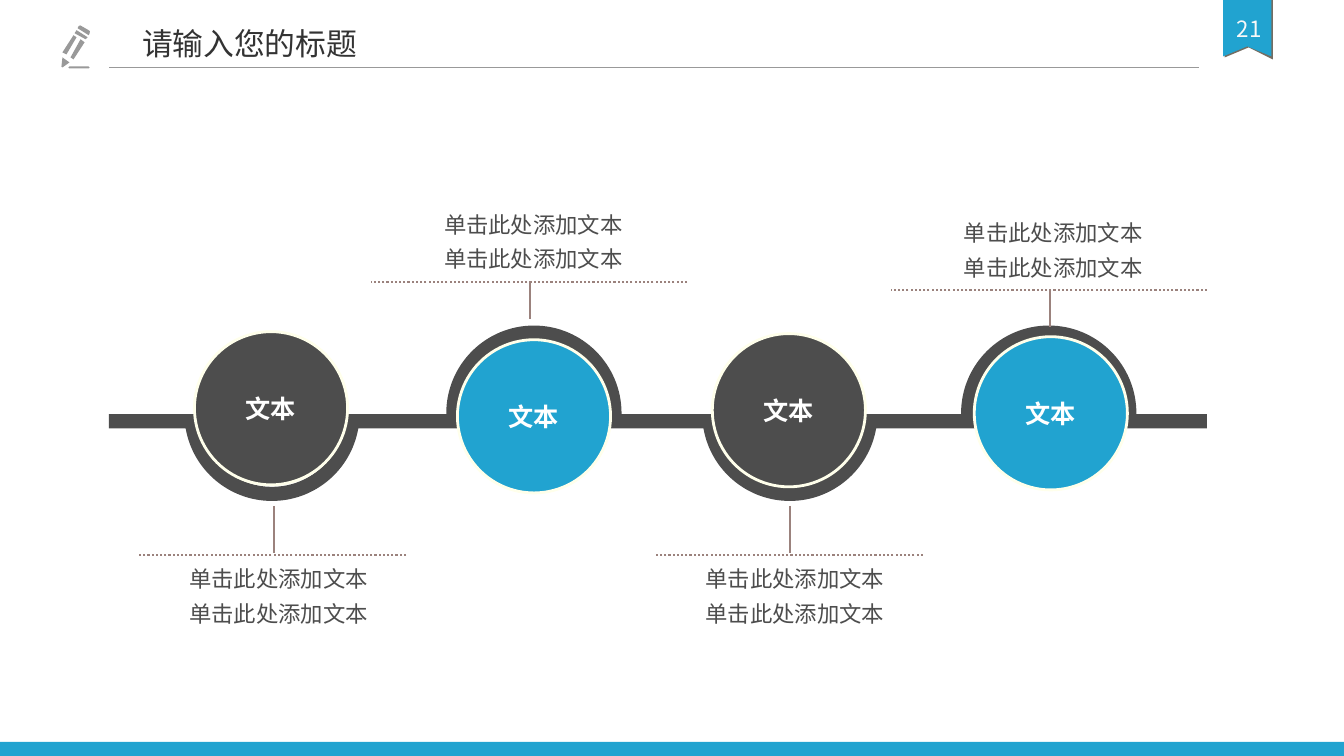
import math

import pptx
import pptx.dml.color
import pptx.enum.dml
import pptx.enum.shapes
import pptx.enum.text
import pptx.oxml
import pptx.oxml.ns
import pptx.util

COLUMNS, ROWS = 1334, 750
CELL = pptx.util.Inches(0.01)
FONT = "Noto Sans CJK SC"
BLUE, DARK, GRAY, BROWN = "21A3D0", "4D4D4D", "999999", "9B827D"
SHAPES = pptx.enum.shapes.MSO_SHAPE
ALIGN = pptx.enum.text.PP_ALIGN
ANCHOR = pptx.enum.text.MSO_ANCHOR
FIT = pptx.enum.text.MSO_AUTO_SIZE

PENCIL = [
    [(8, 41), (27, 41), (28, 41, 28, 41, 28, 42), (28, 42, 28, 43, 27, 43),
     (8, 43), (8, 43, 7, 42, 7, 42), (7, 41, 8, 41, 8, 41)],
    [(9, 32), (19, 14), (23, 17), (12, 34), (9, 32)],
    [(1, 27), (12, 10), (15, 12), (5, 29), (1, 27)],
    [(0, 41), (1, 32), (8, 37), (1, 42), (0, 42, 0, 42, 0, 41)],
    [(15, 5), (13, 8), (24, 14), (26, 12), (15, 5)],
    [(17, 1), (18, 0, 19, 0, 20, 1), (27, 5), (28, 5, 29, 7, 28, 8),
     (27, 10), (16, 3), (17, 1)],
]
STEPS = [
    {"ring": 270, "side": 1, "disc": (193, 329), "fill": DARK, "callout": (138, 551, 265)},
    {"ring": 530, "side": -1, "disc": (454, 337), "fill": BLUE, "callout": (368, 280, 314)},
    {"ring": 784, "side": 1, "disc": (707, 331), "fill": DARK, "callout": (650, 551, 266)},
    {"ring": 1041, "side": -1, "disc": (967, 334), "fill": BLUE, "callout": (884, 288, 314)},
]


def grid(*cells):
    return [round(cell * CELL) for cell in cells]


def color(value):
    return pptx.dml.color.RGBColor.from_string(value)


def apply(target, values):
    for name, value in values.items():
        setattr(target, name, value)


def paint(shape, fill):
    shape.shadow.inherit = False
    shape.fill.solid()
    shape.fill.fore_color.rgb = color(fill)
    shape.line.fill.background()


def write(shape, lines, size, ink, frame_format, para_format, bold=False):
    frame = shape.text_frame
    apply(frame, frame_format)
    for index, line in enumerate(lines):
        para = frame.add_paragraph() if index else frame.paragraphs[0]
        apply(para, para_format)
        span = para.add_run()
        span.text = line
        apply(span.font, {"size": pptx.util.Pt(size), "name": FONT, "bold": bold})
        span.font.color.rgb = color(ink)
        east = pptx.oxml.parse_xml(
            f'<a:ea {pptx.oxml.ns.nsdecls("a")} typeface="{FONT}"/>')
        span.font._element.append(east)


def bend(shape, segments):
    lines = iter(list(shape._element.iter(pptx.oxml.ns.qn("a:lnTo"))))
    for segment in segments:
        line = next(lines)
        if len(segment) == 6:
            curve = pptx.oxml.parse_xml(
                f'<a:cubicBezTo {pptx.oxml.ns.nsdecls("a")}/>')
            line.addprevious(curve)
            for part in (line, next(lines), next(lines)):
                curve.append(part[0])
                part.getparent().remove(part)


def outline(page, box, contours, fill):
    left, top = box
    builder = None
    for contour in contours:
        points = [tuple(grid(left + segment[i], top + segment[i + 1]))
                  for segment in contour for i in range(0, len(segment), 2)]
        if builder:
            builder.move_to(*points[0])
        else:
            builder = page.shapes.build_freeform(*points[0], scale=1.0)
        builder.add_line_segments(points[1:], close=True)
    shape = builder.convert_to_shape()
    bend(shape, [segment for contour in contours for segment in contour[1:]])
    paint(shape, fill)


def connect(page, start, end, ink, width, dash=None):
    line = page.shapes.add_connector(
        pptx.enum.shapes.MSO_CONNECTOR.STRAIGHT, *grid(*start, *end))
    line.line.color.rgb = color(ink)
    line.line.width = pptx.util.Pt(width)
    if dash:
        line.line.dash_style = dash
    line._element.spPr.append(
        pptx.oxml.parse_xml(f'<a:effectLst {pptx.oxml.ns.nsdecls("a")}/>'))


def draw_ribbon(page, box):
    left, top, width, height = box
    for shift, drop, fill in ((1.5, 1, "746D62"), (0, 0, BLUE)):
        points = [(width, height + 3 * drop), (width / 2, height - 10 + drop),
                  (0, height + drop), (0, 0), (width, 0)]
        outline(page, (left + shift, top), [points], fill)
    number = page.shapes.add_textbox(*grid(left - 37, top + 10, 126, 42))
    write(number, ["21"], 16, "F8F8F8",
          {"word_wrap": False, "auto_size": FIT.SHAPE_TO_FIT_TEXT},
          {"alignment": ALIGN.CENTER})


def draw_header(page, box):
    left, top, width, height = box
    title = page.shapes.title
    apply(title, dict(zip(("left", "top", "width", "height"),
                          grid(left + 70, top - 6, 250, 47))))
    write(title, ["请输入您的标题"], 22, "333333",
          {"word_wrap": True, "auto_size": FIT.NONE, "vertical_anchor": ANCHOR.TOP},
          {"alignment": ALIGN.LEFT})
    outline(page, (left, top), PENCIL, GRAY)
    connect(page, (left + width, top + height), (left + 47, top + height), GRAY, 0.75)


def draw_footer(page, box):
    bar = page.shapes.add_shape(SHAPES.RECTANGLE, *grid(*box))
    paint(bar, BLUE)


def trace_arc(center, middle, radius, side, start, stop):
    sweep = (stop - start) / 2
    pull = 4 / 3 * math.tan(sweep / 4)

    def spot(angle, tangent):
        across = math.cos(angle) - tangent * math.sin(angle)
        down = math.sin(angle) + tangent * math.cos(angle)
        return center - radius * across, middle + side * radius * down

    return [spot(angle, pull) + spot(angle + sweep, -pull) + spot(angle + sweep, 0)
            for angle in (start, start + sweep)]


def trace_edge(middle, edge, is_upper):
    segments = []
    for step in STEPS if is_upper else STEPS[::-1]:
        center, side = step["ring"], step["side"]
        radius = 73 if (side == 1) == is_upper else 87
        clip = math.asin(max(0, side * (edge - middle) / radius))
        start, stop = (clip, math.pi - clip) if is_upper else (math.pi - clip, clip)
        reach = radius * math.cos(start)
        segments.append((center - reach, edge))
        if side * (edge - middle) < 0:
            segments.append((center - reach, middle))
        segments += trace_arc(center, middle, radius, side, start, stop)
        if side * (edge - middle) < 0:
            segments.append((center + reach, edge))
    return segments


def draw_band(page, box):
    left, top, width, height = box
    right, bottom = left + width, top + height
    upper = [(left, top), *trace_edge(top - 1, top, True), (right, top)]
    lower = [(right, bottom), *trace_edge(top - 1, bottom, False), (left, bottom)]
    outline(page, (0, 0), [upper + lower], DARK)


def draw_disc(page, box, fill):
    disc = page.shapes.add_shape(SHAPES.OVAL, *grid(*box))
    paint(disc, fill)
    disc.line.color.rgb = color("FFFFEB")
    disc.line.width = pptx.util.Pt(2)
    write(disc, ["文本"], 18, "FFFFFF", {"vertical_anchor": ANCHOR.MIDDLE},
          {"alignment": ALIGN.CENTER}, bold=True)


def draw_callout(page, box, side):
    left, top, width = box
    middle = left + width / 2
    stem_top, stem_bottom, text_top, shift = (-49, -2, -2, 6) if side == 1 else (1, 36, -83, 4.5)
    stem = middle + 1.5
    connect(page, (stem, top + stem_top), (stem, top + stem_bottom), BROWN, 1.5)
    connect(page, (left + width, top), (left, top), BROWN, 1.5,
            pptx.enum.dml.MSO_LINE.ROUND_DOT)
    words = page.shapes.add_textbox(*grid(middle + shift - 163, top + text_top, 326, 77))
    across, down = grid(8, 4)
    write(words, ["单击此处添加文本"] * 2, 16, DARK,
          {"word_wrap": True, "auto_size": FIT.SHAPE_TO_FIT_TEXT,
           "margin_left": across, "margin_right": across,
           "margin_top": down, "margin_bottom": down},
          {"alignment": ALIGN.CENTER, "line_spacing": 1.3})


def draw_timeline(page, box):
    draw_band(page, box)
    for step in STEPS:
        draw_callout(page, step["callout"], step["side"])
        draw_disc(page, (*step["disc"], 152, 152), step["fill"])


def main():
    deck = pptx.Presentation()
    deck.slide_width, deck.slide_height = grid(COLUMNS, ROWS)
    page = deck.slides.add_slide(deck.slide_layouts[5])
    draw_ribbon(page, (1214, 0, 48, 56))
    draw_footer(page, (0, ROWS - 14, COLUMNS, 14))
    draw_header(page, (61, 25, 1129, 42))
    draw_timeline(page, (108, 411, 1090, 14))
    deck.save("out.pptx")


if __name__ == "__main__":
    main()
